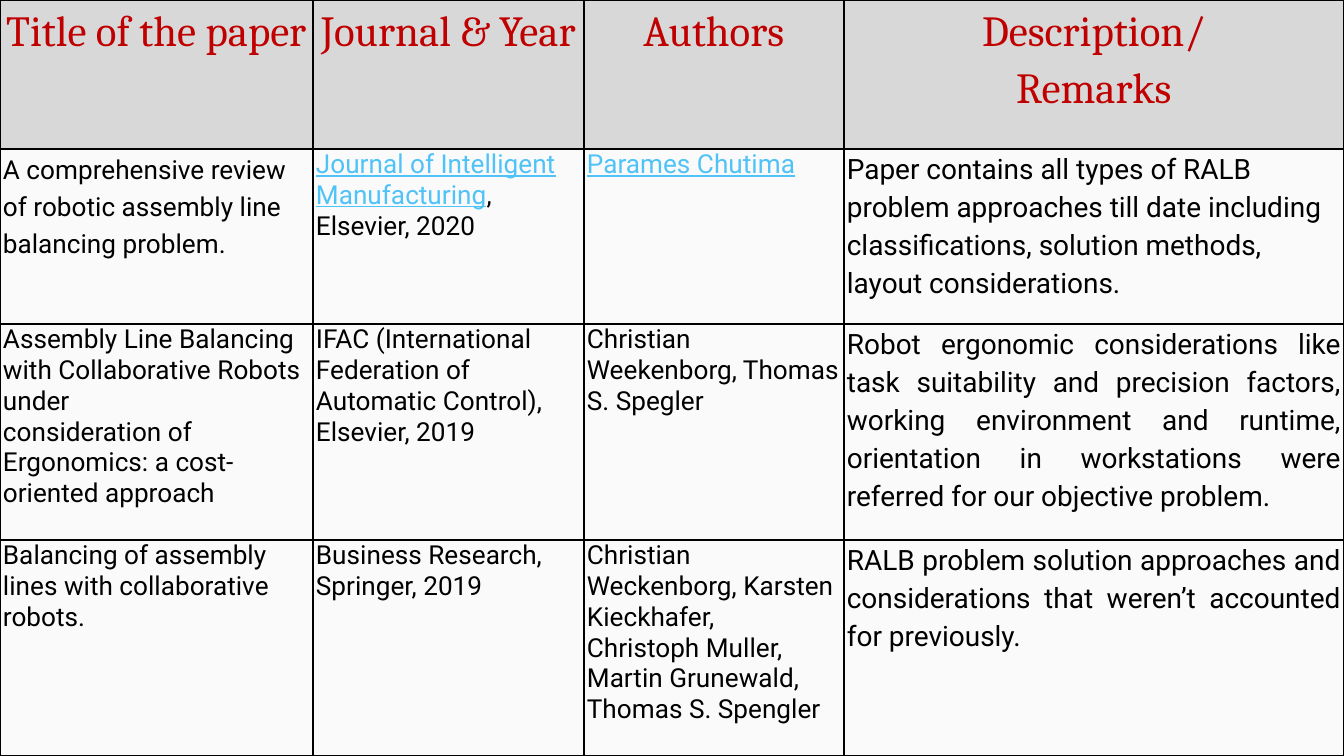
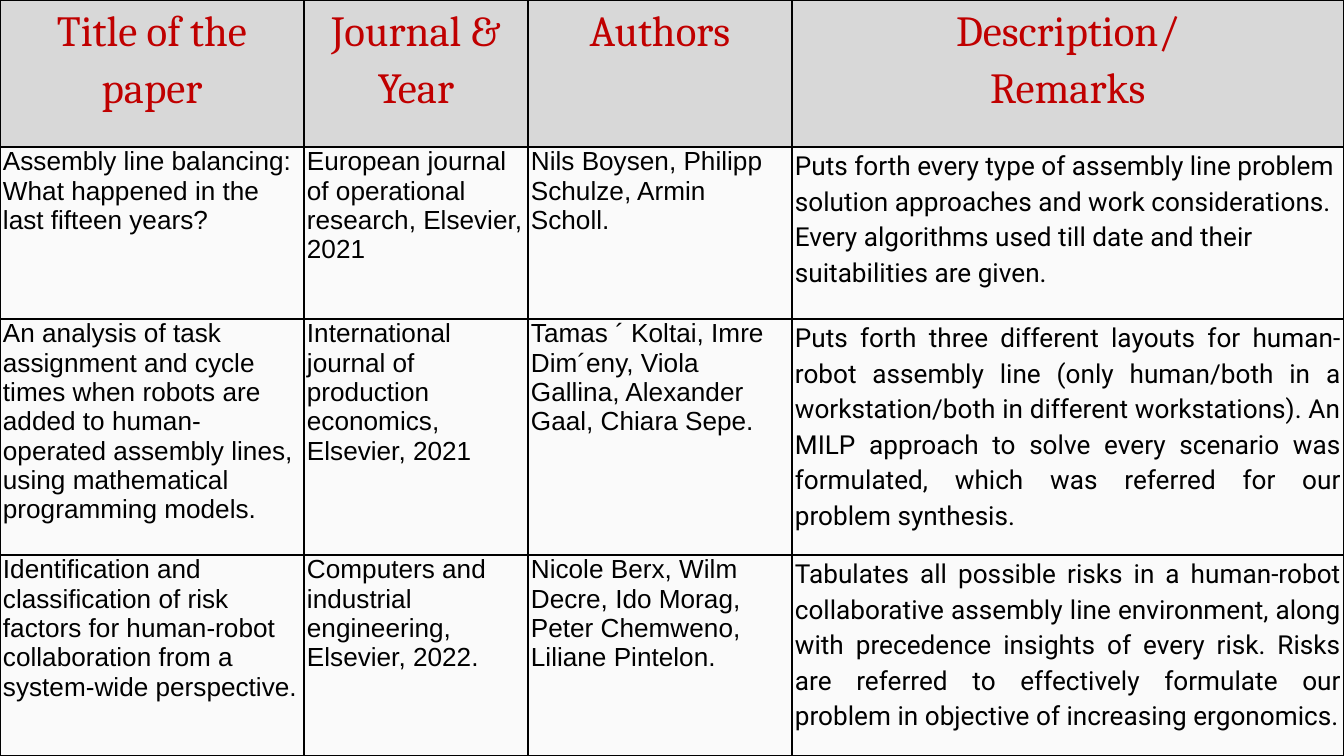
from dataclasses import dataclass

from lxml.etree import SubElement
from pptx import Presentation
from pptx.dml.color import RGBColor
from pptx.enum.shapes import MSO_SHAPE
from pptx.enum.text import PP_ALIGN
from pptx.oxml import parse_xml
from pptx.oxml.ns import nsdecls, qn
from pptx.util import Emu, Pt


@dataclass(frozen=True)
class Theme:
    backdrop: str = "4285F4"
    panel: str = "FAFAFA"
    header_fill: str = "D8D8D8"
    header_text: str = "C00000"
    text: str = "000000"
    link: str = "4FC3F7"
    header_font: str = "Cambria"
    remark_font: str = "Roboto"
    header_size: int = 23
    body_size: int = 14
    border: int = 1


THEME = Theme()
WIDTH, HEIGHT, PANEL_TOP, INSET = 1344, 756, 97, 3


def px(length):
    return Emu(round(length * 914400 / 134.4))


def write_cell(cell, paragraphs, font, size, color, align, spacing):
    cell.margin_left = cell.margin_right = px(INSET)
    cell.margin_top = cell.margin_bottom = 0
    frame = cell.text_frame
    for index, runs in enumerate(paragraphs):
        paragraph = frame.paragraphs[0] if index == 0 else frame.add_paragraph()
        paragraph.alignment = align
        paragraph.line_spacing = spacing
        for text, linked in runs:
            run = paragraph.add_run()
            run.text = text
            run.font.name = font
            run.font.size = Pt(size)
            run.font.underline = linked
            run.font.color.rgb = RGBColor.from_string(THEME.link if linked else color)
    properties = cell._tc.get_or_add_tcPr()
    for index, side in enumerate(("lnL", "lnR", "lnT", "lnB")):
        line = parse_xml(f'<a:{side} {nsdecls("a")} w="{Pt(THEME.border)}"/>')
        fill = SubElement(line, qn("a:solidFill"))
        SubElement(fill, qn("a:srgbClr"), val=THEME.text)
        properties.insert(index, line)


HEADINGS = ["Title of the paper", "Journal & Year", "Authors", "Description/\nRemarks"]
LINKED = ["Journal of Intelligent Manufacturing", "Parames Chutima"]

surveys = [
    {
        "columns": [313, 271, 260, 500],
        "rows": [149, 175, 216, 216],
        "font": "Roboto",
        "remark_size": 15,
        "first_title_spacing": 1.2,
        "papers": [
            [
                "A comprehensive review of robotic assembly line balancing problem.",
                "Journal of Intelligent Manufacturing, Elsevier, 2020",
                "Parames Chutima",
                "Paper contains all types of RALB problem approaches till date including "
                "classifications, solution methods, layout considerations.",
            ],
            [
                "Assembly Line Balancing with Collaborative Robots under\n"
                "consideration of Ergonomics: a cost-oriented approach",
                "IFAC (International Federation of Automatic Control), Elsevier, 2019",
                "Christian Weekenborg, Thomas S. Spegler",
                "Robot ergonomic considerations like task suitability and precision factors, "
                "working environment and runtime, orientation in workstations were referred "
                "for our objective problem.",
            ],
            [
                "Balancing of assembly lines with collaborative robots.",
                "Business Research, Springer, 2019",
                "Christian Weckenborg, Karsten Kieckhafer,\n"
                "Christoph Muller, Martin Grunewald,\nThomas S. Spengler",
                "RALB problem solution approaches and considerations that weren’t "
                "accounted for previously.",
            ],
        ],
    },
    {
        "columns": [304, 224, 264, 552],
        "rows": [147, 172, 236, 201],
        "font": "Arial",
        "remark_size": 14,
        "first_title_spacing": 1.0,
        "papers": [
            [
                "Assembly line balancing: What happened in the last fifteen years?",
                "European journal of operational research, Elsevier, 2021",
                "Nils Boysen, Philipp Schulze, Armin Scholl.",
                "Puts forth every type of assembly line problem solution approaches and work "
                "considerations. Every algorithms used till date and their suitabilities are given.",
            ],
            [
                "An analysis of task assignment and cycle times when robots are added to "
                "human-operated assembly lines, using mathematical programming models.",
                "International journal of production economics, Elsevier, 2021",
                "Tamas ´ Koltai, Imre Dim´eny, Viola Gallina, Alexander Gaal, Chiara Sepe.",
                "Puts forth three different layouts for human-robot assembly line (only "
                "human/both in a workstation/both in different workstations). An MILP approach "
                "to solve every scenario was formulated, which was referred for our problem "
                "synthesis.",
            ],
            [
                "Identification and classification of risk factors for human-robot "
                "collaboration from a system-wide perspective.",
                "Computers and industrial engineering, Elsevier, 2022.",
                "Nicole Berx, Wilm Decre, Ido Morag, Peter Chemweno, Liliane Pintelon.",
                "Tabulates all possible risks in a human-robot collaborative assembly line "
                "environment, along with precedence insights of every risk. Risks are referred "
                "to effectively formulate our problem in objective of increasing ergonomics.",
            ],
        ],
    },
]

deck = Presentation()
deck.slide_width, deck.slide_height = px(WIDTH), px(HEIGHT)

for survey in surveys:
    slide = deck.slides.add_slide(deck.slide_layouts[6])
    slide.background.fill.solid()
    slide.background.fill.fore_color.rgb = RGBColor.from_string(THEME.backdrop)
    panel = slide.shapes.add_shape(
        MSO_SHAPE.RECTANGLE, 0, px(PANEL_TOP), px(WIDTH), px(HEIGHT - PANEL_TOP)
    )
    panel.shadow.inherit = False
    panel.fill.solid()
    panel.fill.fore_color.rgb = RGBColor.from_string(THEME.panel)
    panel.line.fill.background()

    grid = [HEADINGS] + survey["papers"]
    literature = slide.shapes.add_table(
        len(grid), len(HEADINGS), 0, 0, px(WIDTH), px(HEIGHT)
    ).table
    literature.first_row = literature.horz_banding = False
    for column, width in zip(literature.columns, survey["columns"]):
        column.width = px(width)
    for row, height in zip(literature.rows, survey["rows"]):
        row.height = px(height)

    for r, entries in enumerate(grid):
        for c, entry in enumerate(entries):
            cell = literature.cell(r, c)
            font, size, color = survey["font"], THEME.body_size, THEME.text
            align, spacing = PP_ALIGN.LEFT, 1.0
            if r == 0:
                cell.fill.solid()
                cell.fill.fore_color.rgb = RGBColor.from_string(THEME.header_fill)
                font, size, color = THEME.header_font, THEME.header_size, THEME.header_text
                align, spacing = PP_ALIGN.CENTER, 1.15
            else:
                cell.fill.background()
                if c == 3:
                    font, size, spacing = THEME.remark_font, survey["remark_size"], 1.15
                    align = PP_ALIGN.LEFT if r == 1 else PP_ALIGN.JUSTIFY
                elif (r, c) == (1, 0):
                    spacing = survey["first_title_spacing"]
            paragraphs = []
            for text in entry.split("\n"):
                link = next((name for name in LINKED if text.startswith(name)), "")
                runs = [(link, True), (text[len(link):], False)]
                paragraphs.append([run for run in runs if run[0]])
            write_cell(cell, paragraphs, font, size, color, align, spacing)

deck.save("out.pptx")
